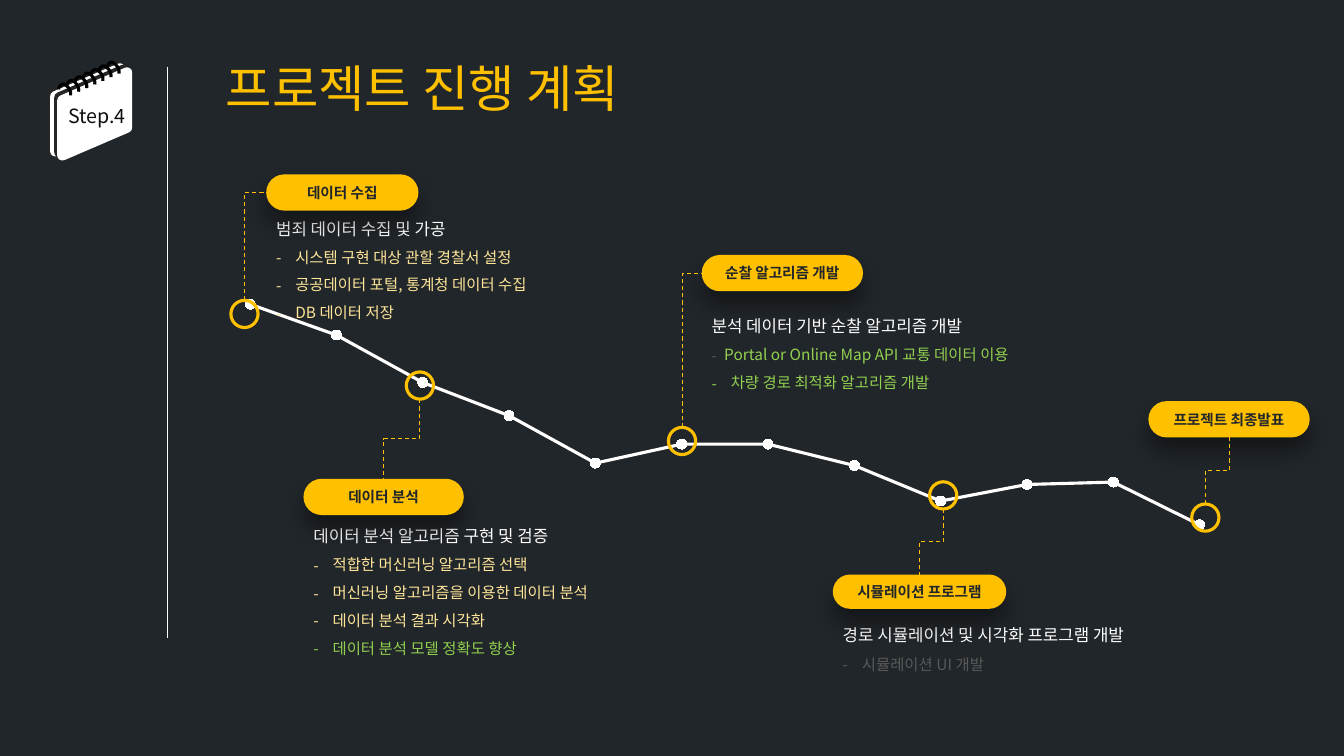
from lxml.etree import SubElement as Sub
from pptx import Presentation
from pptx.chart.data import CategoryChartData as Data
from pptx.dml.color import RGBColor as Rgb
from pptx.enum.chart import XL_CHART_TYPE as Kind, XL_MARKER_STYLE as Mark
from pptx.enum.dml import MSO_LINE as Dash
from pptx.enum.shapes import MSO_CONNECTOR as Link, MSO_SHAPE as Form
from pptx.enum.text import MSO_ANCHOR as Anchor, MSO_AUTO_SIZE as Auto, PP_ALIGN as Align
from pptx.oxml.ns import qn
from pptx.util import Inches, Pt

HUES = {"back": "21262A", "gold": "FFC000", "white": "FFFFFF", "black": "000000",
        "ink": "0D0D0D", "cream": "FFE699", "green": "92D050", "gray": "595959",
        "mark": "F2F2F2", "pale": "D9D9D9", "shade": "262626"}
KR, SC = "Noto Sans CJK KR", "Noto Sans CJK SC"
CELL = Inches(0.1)
RING = 2.7
NOTE = 12

STEPS = [
    {"pill": (26.4, 17.3, 15.1, 3.6), "name": "데이터 수집", "ring": (22.9, 29.8), "side": "left",
     "note": (26.4, 20.3, 30.2), "head": "범죄 데이터 수집 및 가공",
     "list": [("시스템 구현 대상 관할 경찰서 설정", "cream"),
              ("공공데이터 포털, 통계청 데이터 수집", "cream"),
              ("DB 데이터 저장", "cream")]},
    {"pill": (30.1, 47.5, 15.9, 3.6), "name": "데이터 분석", "ring": (40.3, 36.9), "side": "top",
     "note": (30.1, 52.2, 34.2), "head": "데이터 분석 알고리즘 구현 및 검증",
     "list": [("적합한 머신러닝 알고리즘 선택", "cream"),
              ("머신러닝 알고리즘을 이용한 데이터 분석", "cream"),
              ("데이터 분석 결과 시각화", "cream"),
              ("데이터 분석 모델 정확도 향상", "green")]},
    {"pill": (69.6, 25.3, 16, 3.6), "name": "순찰 알고리즘 개발", "ring": (66.3, 42.4), "side": "left",
     "note": (69.6, 28.6, 33.6), "head": "분석 데이터 기반 순찰 알고리즘 개발",
     "list": [("Portal or Online Map API 교통 데이터 이용", "green", "gray", 1.25),
              ("차량 경로 최적화 알고리즘 개발", "green")]},
    {"pill": (82.6, 57, 17.2, 3.4), "name": "시뮬레이션 프로그램", "ring": (92.2, 47.8), "side": "top",
     "note": (82.6, 57.9, 33.4), "head": "경로 시뮬레이션 및 시각화 프로그램 개발",
     "list": [("시뮬레이션 UI 개발", "gray")]},
    {"pill": (113.9, 39.8, 16, 3.6), "name": "프로젝트 최종발표", "ring": (118.2, 50), "side": "bottom"},
]


def grid(*cells):
    return [round(n * CELL) for n in cells]


def tint(hue):
    return Rgb.from_string(HUES[hue])


def apply(item, form):
    for key, val in form.items():
        setattr(item, key, val)


def fill(shape, hue):
    if hue:
        shape.fill.solid()
        shape.fill.fore_color.rgb = tint(hue)
    else:
        shape.fill.background()


def stroke(line, hue, width, **form):
    line.color.rgb = tint(hue)
    apply(line, {"width": Pt(width), **form})


def shade(shape, hue, alpha, blur, dist, angle):
    glow = Sub(shape.element.spPr.find(qn("a:effectLst")), qn("a:outerShdw"), blurRad=str(Pt(blur)),
               dist=str(Pt(dist)), dir=str(angle * 60000), algn="ctr", rotWithShape="0")
    tone = Sub(glow, qn("a:srgbClr"), val=HUES[hue])
    Sub(tone, qn("a:alpha"), val=str(alpha * 1000))


def write(para, text, hue, size, face=KR, **form):
    run = para.add_run()
    run.text = text
    apply(run.font, {"name": face, "size": Pt(size), **form})
    run.font.color.rgb = tint(hue)
    Sub(run.font._element, qn("a:ea"), typeface=face)


def bullet(para, hue, dent):
    props = para._p.get_or_add_pPr()
    left = grid(dent)[0]
    props.set("marL", str(left))
    props.set("indent", str(-left))
    tone = Sub(props, qn("a:buClr"))
    Sub(tone, qn("a:srgbClr"), val=HUES[hue])
    Sub(props, qn("a:buFont"), typeface=KR)
    Sub(props, qn("a:buChar"), char="-")


def frame(slide, box, **form):
    text = slide.shapes.add_textbox(*grid(*box)).text_frame
    apply(text, {"word_wrap": True, **form})
    return text


def solid(slide, form, box, hue):
    shape = slide.shapes.add_shape(form, *grid(*box))
    shape.shadow.inherit = False
    fill(shape, hue)
    return shape


def wire(slide, kind, ends, hue, width, **form):
    line = slide.shapes.add_connector(kind, *grid(*ends))
    stroke(line.line, hue, width, **form)
    Sub(line.element.spPr, qn("a:effectLst"))
    return line


def elbow(slide, start, end, turns):
    (x, y), (u, v) = start, end
    midx, midy, run, rise = (x + u) / 2, (y + v) / 2, (u - x) / 2, (v - y) / 2
    ends = midx - rise, midy + run, midx + rise, midy - run
    line = wire(slide, Link.ELBOW, ends, "gold", 0.75, dash_style=Dash.DASH)
    props = line.element.spPr
    props.find(qn("a:xfrm")).set("rot", str(90 * 60000))
    props.find(qn("a:prstGeom")).set("prst", f"bentConnector{turns + 1}")


def trend(slide):
    data = Data()
    data.categories = [str(n) for n in range(1, 13)]
    data.add_series("Series 1", [100, 87, 67, 53, 33, 41, 41, 32, 17, 24, 25, 7])
    box = grid(18.5, 28.1, 106.8, 26.1)
    chart = slide.shapes.add_chart(Kind.LINE_MARKERS, *box, data).chart
    apply(chart, {"has_legend": False, "has_title": False})
    apply(chart.font, {"name": KR, "size": Pt(10)})
    chart.font.color.rgb = tint("pale")
    apply(chart.value_axis, {"minimum_scale": 0, "maximum_scale": 100,
                             "has_major_gridlines": False, "visible": False})
    chart.category_axis.visible = False
    plot = chart.plots[0]
    plot.vary_by_categories = False
    line = plot.series[0]
    line.smooth = False
    stroke(line.format.line, "white", 2.25)
    apply(line.marker, {"style": Mark.CIRCLE, "size": 7})
    fill(line.marker.format, "mark")
    stroke(line.marker.format.line, "mark", 0.75)
    area = chart._chartSpace.chart.plotArea
    for old in area.findall(qn("c:layout")):
        area.remove(old)
    lay = area.makeelement(qn("c:layout"))
    area.insert(0, lay)
    man = Sub(lay, qn("c:manualLayout"))
    for tag, val in {"layoutTarget": "inner", "xMode": "edge", "yMode": "edge",
                     "x": 0.019, "y": 0.08, "w": 0.962, "h": 0.902}.items():
        Sub(man, qn(f"c:{tag}"), val=str(val))


def curve(a, b, c, d, parts=8):
    for n in range(1, parts + 1):
        t = n / parts
        s = 1 - t
        yield tuple(s**3 * i + 3 * s * s * t * j + 3 * s * t * t * k + t**3 * m
                    for i, j, k, m in zip(a, b, c, d))


def coil(slide, left, top):
    base, peak = (0, 0.6), (0.6, 0.1)
    dots = [base, *curve(base, (0.1, 0.2), (0.4, 0), peak),
            *curve(peak, (0.8, 0.2), (1.3, 0.6), (1.2, 1.2))]
    spots = [grid(left + x, top + y) for x, y in dots]
    pen = slide.shapes.build_freeform(*spots[0])
    pen.add_line_segments(spots[1:], close=False)
    shape = pen.convert_to_shape()
    shape.shadow.inherit = False
    fill(shape, None)
    stroke(shape.line, "black", 2.25)


def badge(slide):
    for left, top in [(4.6, 7.7), (5.3, 8.1)]:
        page = solid(slide, Form.PARALLELOGRAM, (left, top, 8.2, 6.4), "white")
        page.adjustments[0] = 0.43
        page.rotation = 90
        page.element.spPr.find(qn("a:xfrm")).set("flipH", "1")
        stroke(page.line, "white", 7.5)
        Sub(page.line._ln, qn("a:round"))
        shade(page, "shade", 100, 0, 3, 225)
    for n in range(7):
        coil(slide, 10.6 - 0.8 * n, 6.1 + 0.36 * n)
    text = frame(slide, (5.7, 9.8, 7.8, 5.7), word_wrap=False, auto_size=Auto.SHAPE_TO_FIT_TEXT)
    text.paragraphs[0].alignment = Align.CENTER
    write(text.paragraphs[0], "Step.4", "ink", 14, SC)


def notes(slide, step):
    text = frame(slide, (*step["note"], NOTE), vertical_anchor=Anchor.MIDDLE)
    first = text.paragraphs[0]
    first.line_spacing = 1.5
    write(first, step["head"], "white", 12)
    for words, hue, *rest in step["list"]:
        para = text.add_paragraph()
        dash, dent = rest or (hue, 1.9)
        bullet(para, dash, dent)
        para.line_spacing = 1.5
        write(para, words, hue, 11)


def stage(slide, step):
    left, top, wide, high = step["pill"]
    x, y = step["ring"]
    if "note" in step:
        notes(slide, step)
    pill = solid(slide, Form.ROUNDED_RECTANGLE, step["pill"], "gold")
    pill.adjustments[0] = 0.5
    pill.line.fill.background()
    shade(pill, "black", 40, 16, 10, 90)
    text = pill.text_frame
    text.vertical_anchor = Anchor.MIDDLE
    text.paragraphs[0].alignment = Align.CENTER
    write(text.paragraphs[0], step["name"], "back", 10.5, bold=True)
    ring = solid(slide, Form.OVAL, (x, y, RING, RING), None)
    stroke(ring.line, "gold", 2.25)
    side, mid = step["side"], x + RING / 2
    start = mid, y + RING if side == "top" else y
    end = {"left": (left, top + high / 2), "top": (left + wide / 2, top),
           "bottom": (left + wide / 2, top + high)}[side]
    elbow(slide, start, end, 1 if side == "left" else 2)


def main():
    deck = Presentation()
    apply(deck, dict(zip(("slide_width", "slide_height"), grid(133.3, 75))))
    slide = deck.slides.add_slide(deck.slide_layouts[6])
    fill(slide.background, "back")
    trend(slide)
    wire(slide, Link.STRAIGHT, (16.6, 6.6, 16.6, 63.3), "white", 0.5)
    badge(slide)
    title = frame(slide, (21.4, 5.2, 58.1, 7.1), auto_size=Auto.SHAPE_TO_FIT_TEXT)
    write(title.paragraphs[0], "프로젝트 진행 계획", "gold", 36)
    for step in STEPS:
        stage(slide, step)
    deck.save("out.pptx")


if __name__ == "__main__":
    main()
